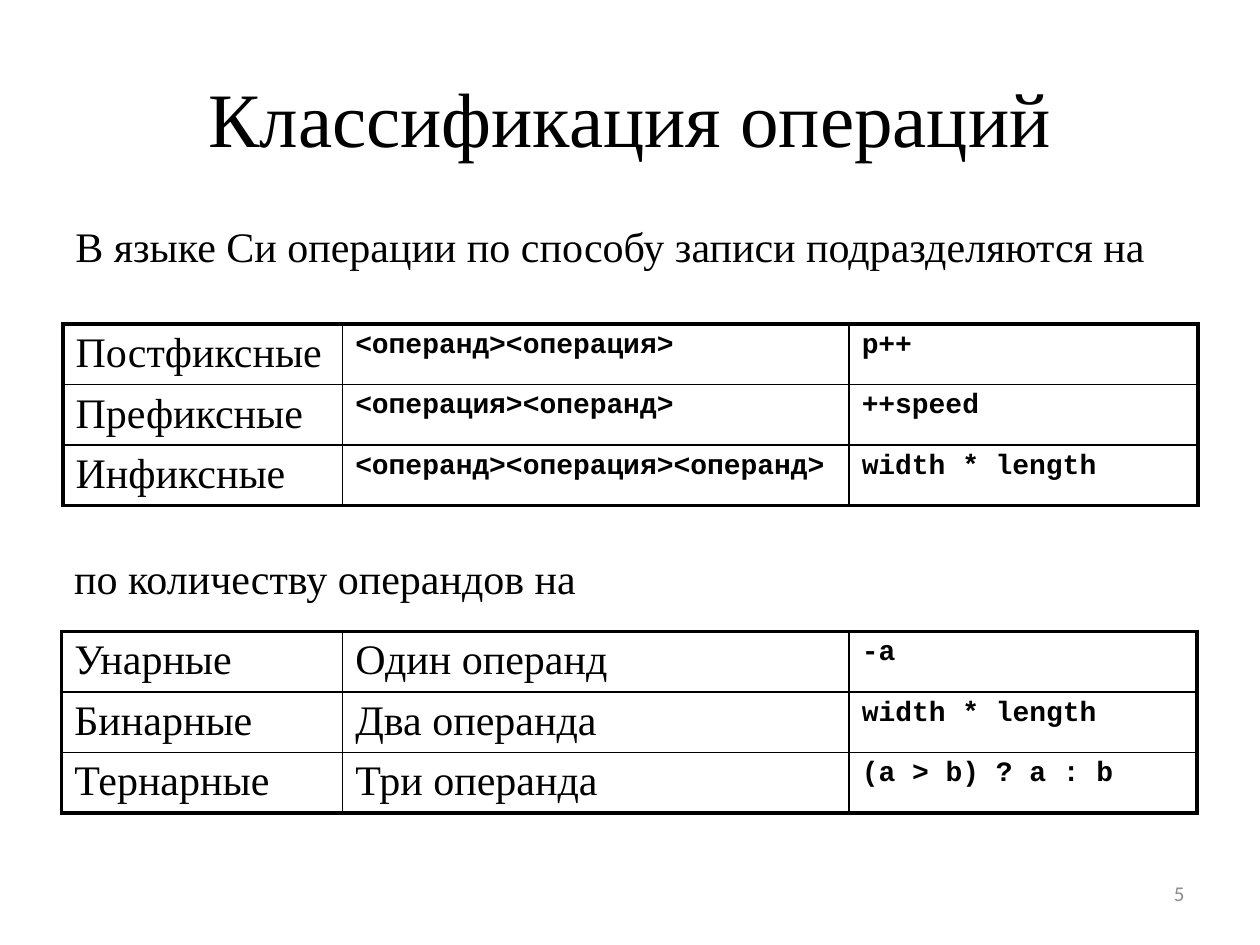
import dataclasses

import lxml.etree
import pptx
import pptx.dml.color
import pptx.enum.text
import pptx.oxml.ns
import pptx.util

Inches = pptx.util.Inches
Pt = pptx.util.Pt
ALIGN = pptx.enum.text.PP_ALIGN
ANCHOR = pptx.enum.text.MSO_ANCHOR
qn = pptx.oxml.ns.qn


@dataclasses.dataclass(frozen=True)
class Font:
    """Typeface, size, colour and weight of a run."""
    name: str
    size: float
    color: str = "000000"
    bold: bool = False


@dataclasses.dataclass(frozen=True)
class Theme:
    """Type styles, colours and line widths of the slide."""
    title: Font = Font("Times New Roman", 44)
    body: Font = Font("Times New Roman", 24)
    code: Font = Font("Courier New", 16, bold=True)
    number: Font = Font("Calibri", 12, "8C8C8C")
    border: str = "000000"
    outer: float = 2.25
    inner: float = 1


class SlideBuilder:
    """Draws elements on one slide in one theme."""

    def __init__(self, slide, theme):
        """Keep the slide and its theme."""
        self.slide = slide
        self.theme = theme

    def run(self, paragraph, text, font):
        """Add one styled run."""
        run = paragraph.add_run()
        run.text = text
        run.font.name = font.name
        run.font.size = Pt(font.size)
        run.font.bold = font.bold
        run.font.color.rgb = pptx.dml.color.RGBColor.from_string(font.color)

    def space_before(self, paragraph, percent):
        """Set the gap above a paragraph as a share of the type size."""
        paragraph.space_before = Pt(0)
        gap = paragraph._p.pPr.find(qn("a:spcBef"))
        gap.remove(gap[0])
        lxml.etree.SubElement(gap, qn("a:spcPct"), val=str(percent * 1000))

    def text(self, box, text, font, align=ALIGN.LEFT, anchor=ANCHOR.MIDDLE):
        """Add a one-paragraph text box and return the paragraph."""
        frame = self.slide.shapes.add_textbox(*map(Inches, box)).text_frame
        frame.word_wrap = True
        frame.vertical_anchor = anchor
        paragraph = frame.paragraphs[0]
        paragraph.alignment = align
        self.run(paragraph, text, font)
        return paragraph

    def lead_in(self, box, text):
        """Add a sentence with a hanging indent that introduces a table."""
        paragraph = self.text(box, text, self.theme.body, anchor=ANCHOR.TOP)
        paragraph.line_spacing = 0.9
        self.space_before(paragraph, 20)
        properties = paragraph._p.get_or_add_pPr()
        properties.set("marL", str(Inches(0.38)))
        properties.set("indent", str(Inches(-0.38)))

    def borders(self, cell, outer_sides):
        """Draw the four cell borders, heavier on the outer sides."""
        properties = cell._tc.get_or_add_tcPr()
        for index, side in enumerate("LRTB"):
            width = self.theme.outer if side in outer_sides else self.theme.inner
            line = lxml.etree.Element(qn(f"a:ln{side}"), w=str(Pt(width)))
            fill = lxml.etree.SubElement(line, qn("a:solidFill"))
            lxml.etree.SubElement(fill, qn("a:srgbClr"), val=self.theme.border)
            properties.insert(index, line)

    def table(self, box, widths, rows, fonts):
        """Add a framed table with one font per column."""
        frame = self.slide.shapes.add_table(
            len(rows), len(widths), *map(Inches, box))
        table = frame.table
        table.first_row = table.horz_banding = False
        for column, width in zip(table.columns, widths):
            column.width = Inches(width)
        for r, row in enumerate(rows):
            table.rows[r].height = Inches(0.47)
            for c, (text, font) in enumerate(zip(row, fonts)):
                cell = table.cell(r, c)
                cell.fill.background()
                cell.margin_top = Inches(0.05)
                cell.margin_bottom = Inches(0.03)
                paragraph = cell.text_frame.paragraphs[0]
                self.space_before(paragraph, 20)
                self.run(paragraph, text, font)
                edges = {"L": c == 0, "R": c == len(widths) - 1,
                         "T": r == 0, "B": r == len(rows) - 1}
                self.borders(cell, [side for side, edge in edges.items() if edge])
        frame.height = Inches(box[3])


def main():
    """Build and save the slide."""
    deck = pptx.Presentation()
    deck.slide_width, deck.slide_height = Inches(10), Inches(7.5)
    theme = Theme()
    page = SlideBuilder(deck.slides.add_slide(deck.slide_layouts[6]), theme)

    page.text((7.17, 6.83, 2.33, 0.52), "5", theme.number, ALIGN.RIGHT)
    page.text((0.5, 0.3, 9, 1.25), "Классификация операций", theme.title,
              ALIGN.CENTER)
    page.lead_in((0.5, 1.75, 9, 0.5),
                 "В языке Си операции по способу записи подразделяются на")
    notation = [
        ("Постфиксные", "<операнд><операция>", "p++"),
        ("Префиксные", "<операция><операнд>", "++speed"),
        ("Инфиксные", "<операнд><операция><операнд>", "width * length"),
    ]
    page.table((0.5, 2.57, 9, 1.5), (2.22, 4.02, 2.77), notation,
               (theme.body, theme.code, theme.code))
    operand_count = [
        ("Унарные", "Один операнд", "-a"),
        ("Бинарные", "Два операнда", "width * length"),
        ("Тернарные", "Три операнда", "(a > b) ? a : b"),
    ]
    page.table((0.49, 5.01, 9, 1.5), (2.23, 4.02, 2.76), operand_count,
               (theme.body, theme.body, theme.code))
    page.lead_in((0.49, 4.38, 9, 0.5), "по количеству операндов на")
    deck.save("out.pptx")


main()
